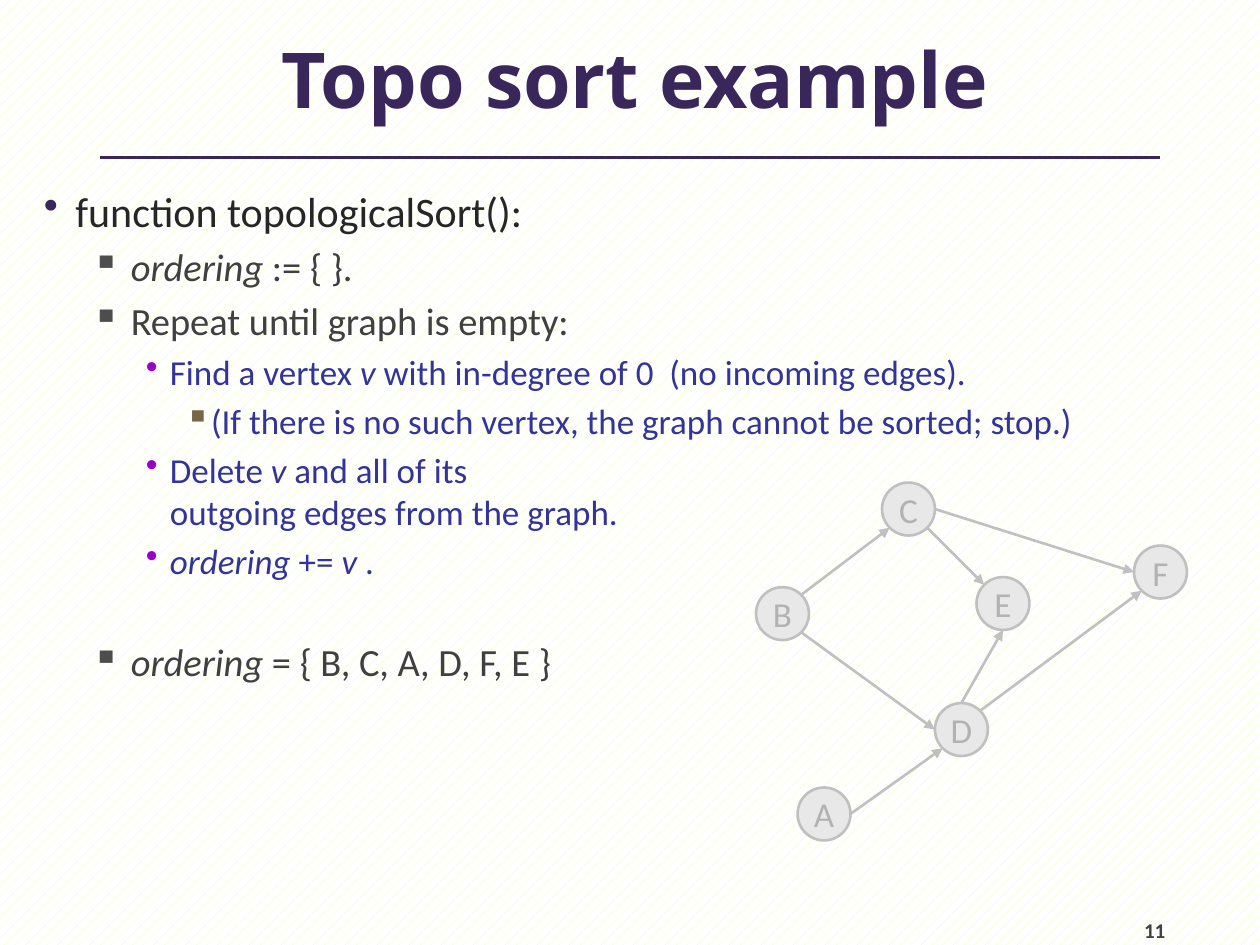
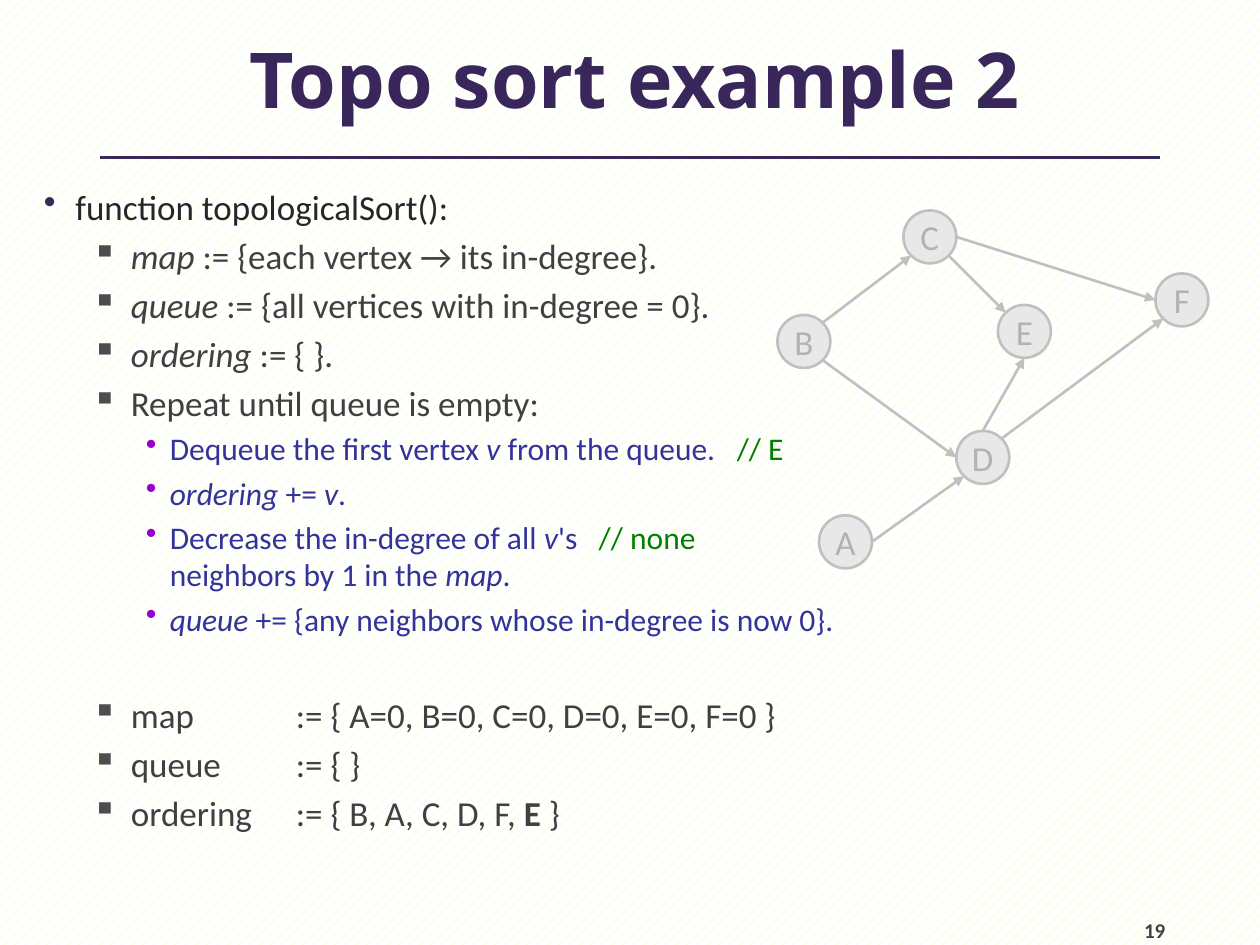
from dataclasses import dataclass
from enum import Enum
from math import sqrt

from pptx import Presentation
from pptx.dml.color import RGBColor
from pptx.enum.dml import MSO_PATTERN
from pptx.enum.shapes import MSO_CONNECTOR as Connector, MSO_SHAPE as Shape
from pptx.enum.text import MSO_ANCHOR as Anchor, MSO_AUTO_SIZE as AutoSize, PP_ALIGN as Align
from pptx.oxml.ns import qn
from pptx.util import Inches, Pt
from lxml.etree import SubElement

PURPLE = RGBColor(0x39, 0x27, 0x5B)
WHITE = RGBColor(0xFF, 0xFF, 0xFF)
LIME = RGBColor(0xE6, 0xFF, 0x9F)
NEAR_BLACK = RGBColor(0x26, 0x26, 0x26)
CHARCOAL = RGBColor(0x40, 0x40, 0x40)
NUMBER_GRAY = RGBColor(0x42, 0x42, 0x42)
BULLET_GRAY = RGBColor(0x4D, 0x4D, 0x4D)
BLUE = RGBColor(0x33, 0x33, 0x99)
VIOLET = RGBColor(0x99, 0x00, 0xCC)
BROWN = RGBColor(0x79, 0x66, 0x46)
GREEN = RGBColor(0x00, 0x80, 0x00)
NODE_FILL = RGBColor(0xE8, 0xE8, 0xE8)
NODE_LINE = RGBColor(0xC0, 0xC0, 0xC0)
NODE_TEXT = RGBColor(0xB2, 0xB2, 0xB2)

TITLE_FONT = "Noto Sans"
BODY_FONT = "Calibri"
NODE_SIZE = 0.42
SECTION_GAP = 28


@dataclass(frozen=True)
class Level:
    margin: float
    indent: float
    bullet: str
    bullet_color: RGBColor
    color: RGBColor


@dataclass(frozen=True)
class Span:
    text: str
    italic: bool = False
    bold: bool = False
    color: RGBColor | None = None


@dataclass(frozen=True)
class Item:
    level: int
    spans: list[Span]
    gap: int = 0


@dataclass(frozen=True)
class Topic:
    title: str
    number: int
    sizes: tuple[int, ...]
    tabs: tuple[float, ...]
    items: list[Item]
    graph_left: float
    graph_top: float


class Side(Enum):
    TOP = (0, -1)
    BOTTOM = (0, 1)
    LEFT = (-1, 0)
    RIGHT = (1, 0)
    TOP_LEFT = (-1, -1)
    TOP_RIGHT = (1, -1)
    BOTTOM_LEFT = (-1, 1)
    BOTTOM_RIGHT = (1, 1)


@dataclass(frozen=True)
class Edge:
    start: str
    start_side: Side
    end: str
    end_side: Side


LEVELS = (
    Level(0.5, -0.25, "•", PURPLE, NEAR_BLACK),
    Level(0.94, -0.31, "▪", BULLET_GRAY, CHARCOAL),
    Level(1.25, -0.19, "•", VIOLET, BLUE),
    Level(1.56, -0.19, "▪", BROWN, BLUE),
)

NODES = {"A": (0.33, 2.42), "B": (0, 0.83), "C": (1, 0),
         "D": (1.42, 1.75), "E": (1.75, 0.75), "F": (3, 0.5)}

EDGES = (
    Edge("B", Side.TOP_RIGHT, "C", Side.BOTTOM_LEFT),
    Edge("C", Side.RIGHT, "F", Side.LEFT),
    Edge("B", Side.BOTTOM_RIGHT, "D", Side.LEFT),
    Edge("D", Side.TOP_RIGHT, "F", Side.BOTTOM_LEFT),
    Edge("A", Side.RIGHT, "D", Side.BOTTOM_LEFT),
    Edge("C", Side.BOTTOM_RIGHT, "E", Side.TOP_LEFT),
    Edge("D", Side.TOP, "E", Side.BOTTOM),
)


def plain(text: str) -> Span:
    return Span(text)


def slanted(text: str) -> Span:
    return Span(text, italic=True)


def comment(text: str) -> Span:
    return Span(text, color=GREEN)


TOPICS = (
    Topic("Topo sort example", 11, (24, 22, 20, 20), (), [
        Item(0, [plain("function topologicalSort():")]),
        Item(1, [slanted("ordering"), plain(" := { }.")]),
        Item(1, [plain("Repeat until graph is empty:")]),
        Item(2, [plain("Find a vertex "), slanted("v"),
                 plain(" with in-degree of 0  (no incoming edges).")]),
        Item(3, [plain("(If there is no such vertex, the graph cannot be sorted; stop.)")]),
        Item(2, [plain("Delete "), slanted("v"),
                 plain(" and all of its\noutgoing edges from the graph.")]),
        Item(2, [slanted("ordering"), plain(" += "), slanted("v"), plain(" .")]),
        Item(1, [slanted("ordering"), plain(" = { B, C, A, D, F, E }")], SECTION_GAP),
    ], 6, 3.83),
    Topic("Topo sort example 2", 19, (20, 20, 18, 18), (0.94, 1.25, 2.25), [
        Item(0, [plain("function topologicalSort():")]),
        Item(1, [slanted("map "), plain(":= {each vertex → its in-degree}.")]),
        Item(1, [slanted("queue "), plain(":= {all vertices with in-degree = 0}.")]),
        Item(1, [slanted("ordering "), plain(":= { }.")]),
        Item(1, [plain("Repeat until queue is empty:")]),
        Item(2, [plain("Dequeue the first vertex "), slanted("v"),
                 plain(" from the queue.   "), comment("// E")]),
        Item(2, [slanted("ordering "), plain("+= "), slanted("v"), plain(".")]),
        Item(2, [plain("Decrease the in-degree of all "), slanted("v"), plain("'s   "),
                 comment("// none\n"), plain("neighbors by 1 in the "),
                 slanted("map"), plain(".")]),
        Item(2, [slanted("queue "), plain("+= {any neighbors whose in-degree is now 0}.")]),
        Item(1, [plain("map\t:= { A=0, B=0, C=0, D=0, E=0, F=0 }")], SECTION_GAP),
        Item(1, [plain("queue\t:= { }")]),
        Item(1, [plain("ordering\t:= { B, A, C, D, F, "), Span("E", bold=True), plain(" }")]),
    ], 6.17, 1.67),
)


def add_run(para, text: str, font_name: str, size: int, color: RGBColor,
            bold: bool = False, italic: bool = False) -> None:
    run = para.add_run()
    run.text = text
    font = run.font
    font.name, font.size, font.bold, font.italic = font_name, Pt(size), bold, italic
    font.color.rgb = color


def add_line(shapes, start: tuple[float, float], end: tuple[float, float],
             color: RGBColor, width: float, arrow: bool = False) -> None:
    x1, y1, x2, y2 = (Inches(value) for value in (*start, *end))
    connector = shapes.add_connector(Connector.STRAIGHT, x1, y1, x2, y2)
    connector.line.color.rgb = color
    connector.line.width = Pt(width)
    if arrow:
        SubElement(connector.line._get_or_add_ln(), qn("a:tailEnd"), type="triangle")
    SubElement(connector._element.spPr, qn("a:effectLst"))


def set_title(page, text: str) -> None:
    title = page.shapes.title
    title.left, title.top = Inches(0.04), Inches(-0.01)
    title.width, title.height = Inches(10), Inches(1.25)
    frame = title.text_frame
    frame.auto_size = AutoSize.NONE
    frame.vertical_anchor = Anchor.MIDDLE
    para = frame.paragraphs[0]
    para.alignment = Align.CENTER
    add_run(para, text, TITLE_FONT, 44, PURPLE, bold=True)


def add_page_number(page, number: int) -> None:
    box = page.shapes.add_textbox(Inches(9.08), Inches(7.08), Inches(0.83), Inches(0.4))
    frame = box.text_frame
    frame.margin_left = frame.margin_right = frame.margin_top = frame.margin_bottom = 0
    frame.word_wrap = True
    frame.vertical_anchor = Anchor.BOTTOM
    add_run(frame.paragraphs[0], str(number), BODY_FONT, 12, NUMBER_GRAY, bold=True)


def format_item(para, item: Item, size: int, tabs: tuple[float, ...]) -> None:
    level = LEVELS[item.level]
    para.level = item.level
    para.space_before = Pt(0.2 * size + item.gap)
    props = para._p.get_or_add_pPr()
    props.set("marL", str(Inches(level.margin)))
    props.set("indent", str(Inches(level.indent)))
    bullet_color = SubElement(props, qn("a:buClr"))
    SubElement(bullet_color, qn("a:srgbClr"), val=str(level.bullet_color))
    SubElement(props, qn("a:buChar"), char=level.bullet)
    if tabs:
        tab_list = SubElement(props, qn("a:tabLst"))
        for tab in tabs:
            SubElement(tab_list, qn("a:tab"), pos=str(Inches(tab)), algn="l")


def add_body(page, topic: Topic) -> None:
    box = page.shapes.add_textbox(Inches(0), Inches(1.42), Inches(10), Inches(6.08))
    frame = box.text_frame
    frame.word_wrap = True
    for index, item in enumerate(topic.items):
        para = frame.add_paragraph() if index else frame.paragraphs[0]
        size = topic.sizes[item.level]
        format_item(para, item, size, topic.tabs)
        for span in item.spans:
            for row, text in enumerate(span.text.split("\n")):
                if row:
                    para.add_line_break()
                if text:
                    color = span.color or LEVELS[item.level].color
                    add_run(para, text, BODY_FONT, size, color, span.bold, span.italic)


def add_node(shapes, name: str, left: float, top: float) -> None:
    node = shapes.add_shape(Shape.OVAL, Inches(left), Inches(top),
                            Inches(NODE_SIZE), Inches(NODE_SIZE))
    node.shadow.inherit = False
    node.fill.solid()
    node.fill.fore_color.rgb = NODE_FILL
    node.line.color.rgb = NODE_LINE
    node.line.width = Pt(1.5)
    frame = node.text_frame
    frame.word_wrap = False
    frame.vertical_anchor = Anchor.MIDDLE
    para = frame.paragraphs[0]
    para.alignment = Align.CENTER
    add_run(para, name, BODY_FONT, 20, NODE_TEXT)


def rim_point(left: float, top: float, side: Side) -> tuple[float, float]:
    dx, dy = side.value
    radius = NODE_SIZE / 2
    reach = radius / sqrt(dx * dx + dy * dy)
    return left + radius + dx * reach, top + radius + dy * reach


def add_graph(page, left: float, top: float) -> None:
    shapes = page.shapes.add_group_shape().shapes
    places = {name: (left + x, top + y) for name, (x, y) in NODES.items()}
    for name, place in places.items():
        add_node(shapes, name, *place)
    for edge in EDGES:
        add_line(shapes, rim_point(*places[edge.start], edge.start_side),
                 rim_point(*places[edge.end], edge.end_side), NODE_LINE, 1.5, arrow=True)


def add_topic(deck, topic: Topic) -> None:
    page = deck.slides.add_slide(deck.slide_layouts[5])
    fill = page.background.fill
    fill.patterned()
    fill.pattern = MSO_PATTERN.PERCENT_20
    fill.fore_color.rgb = LIME
    fill.back_color.rgb = WHITE
    add_page_number(page, topic.number)
    add_line(page.shapes, (0.79, 1.25), (9.21, 1.25), PURPLE, 2.25)
    set_title(page, topic.title)
    add_body(page, topic)
    add_graph(page, topic.graph_left, topic.graph_top)


def main() -> None:
    deck = Presentation()
    deck.slide_width, deck.slide_height = Inches(10), Inches(7.5)
    for topic in TOPICS:
        add_topic(deck, topic)
    deck.save("out.pptx")


if __name__ == "__main__":
    main()
